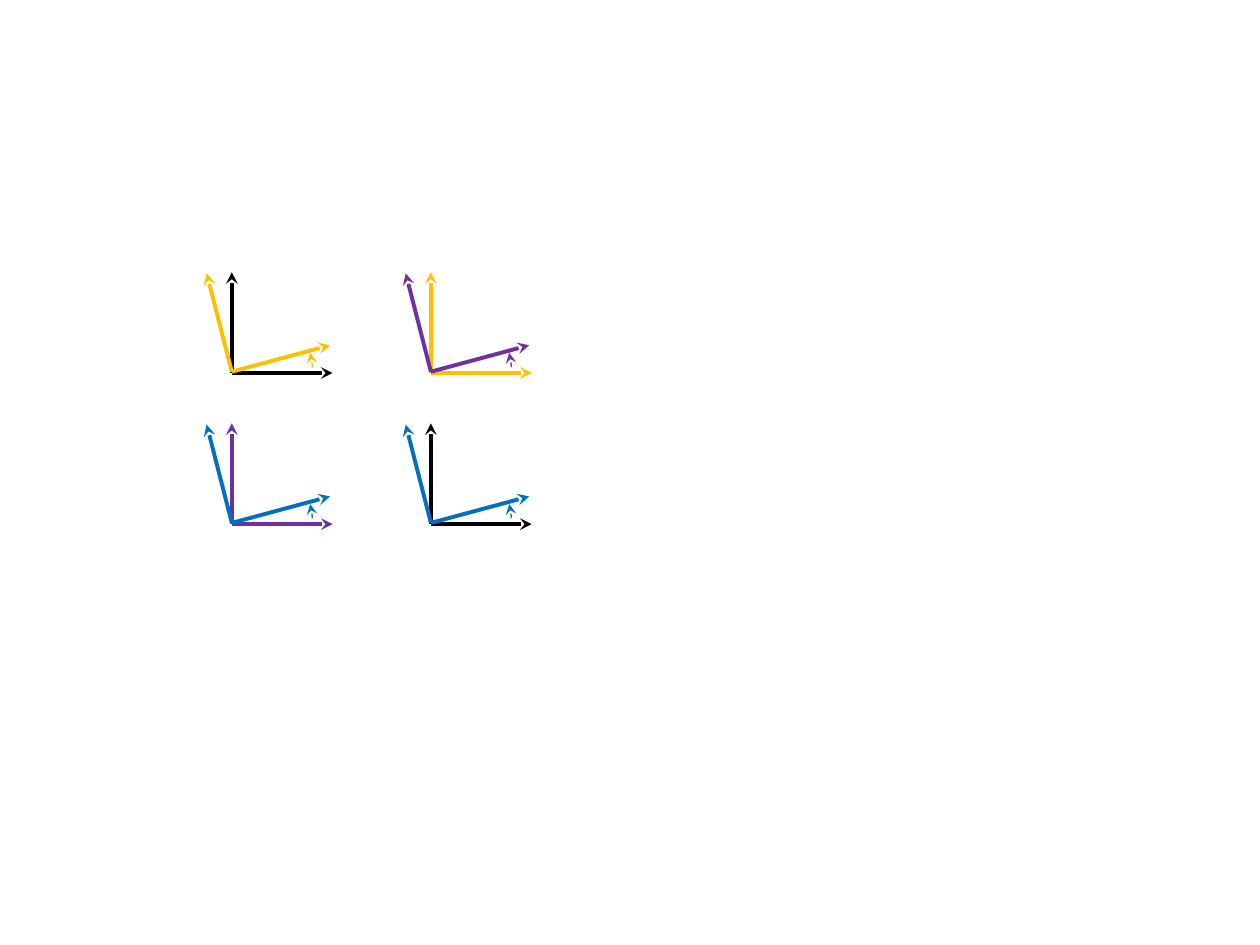
from pptx import Presentation
from pptx.dml.color import RGBColor
from pptx.enum.shapes import MSO_CONNECTOR as Connector, MSO_SHAPE as Shape
from pptx.oxml.ns import qn
from pptx.util import Pt
from lxml.etree import SubElement

PX = 9144  # 100 px to the inch

BLACK, GOLD, PURPLE, BLUE = "000000", "FFC000", "7030A0", "0070C0"


def style_line(shape, color, width, arrow_end):
    shape.line.color.rgb = RGBColor.from_string(color)
    shape.line.width = Pt(width)
    SubElement(shape.line._get_or_add_ln(), qn("a:" + arrow_end), type="stealth")


def add_axis(frame, start, end, color):
    axis = frame.shapes.add_connector(
        Connector.STRAIGHT, *[value * PX for value in (*start, *end)])
    style_line(axis, color, 2.25, "tailEnd")
    SubElement(axis._element.spPr, qn("a:effectLst"))


prs = Presentation()
prs.slide_width, prs.slide_height = 1000 * PX, 750 * PX
slide = prs.slides.add_slide(prs.slide_layouts[6])

# Each rotation: colour of the fixed axes, colour of the rotated axes
rotations = [(BLACK, GOLD), (GOLD, PURPLE), (PURPLE, BLUE), (BLACK, BLUE)]

for index, (fixed, rotated) in enumerate(rotations):
    row, column = divmod(index, 2)
    x, y = 184 + 158 * column, 296 + 120 * row
    frame = slide.shapes.add_group_shape()

    # Fixed axes
    for tip in [(x + 80, y), (x, y - 80)]:
        add_axis(frame, (x, y), tip, fixed)

    # Rotated axes
    for tip in [(x + 78, y - 22), (x - 20, y - 79)]:
        add_axis(frame, (x, y - 1), tip, rotated)

    # Angle between the two frames
    angle = frame.shapes.add_shape(
        Shape.ARC, (x - 62) * PX, (y - 64) * PX, 126 * PX, 126 * PX)
    for position, degrees in enumerate((346.31, 356.67)):
        angle.adjustments[position] = degrees * 0.6  # 60000 units per degree
    angle.fill.background()
    angle.shadow.inherit = False
    style_line(angle, rotated, 0.75, "headEnd")

prs.save("out.pptx")
